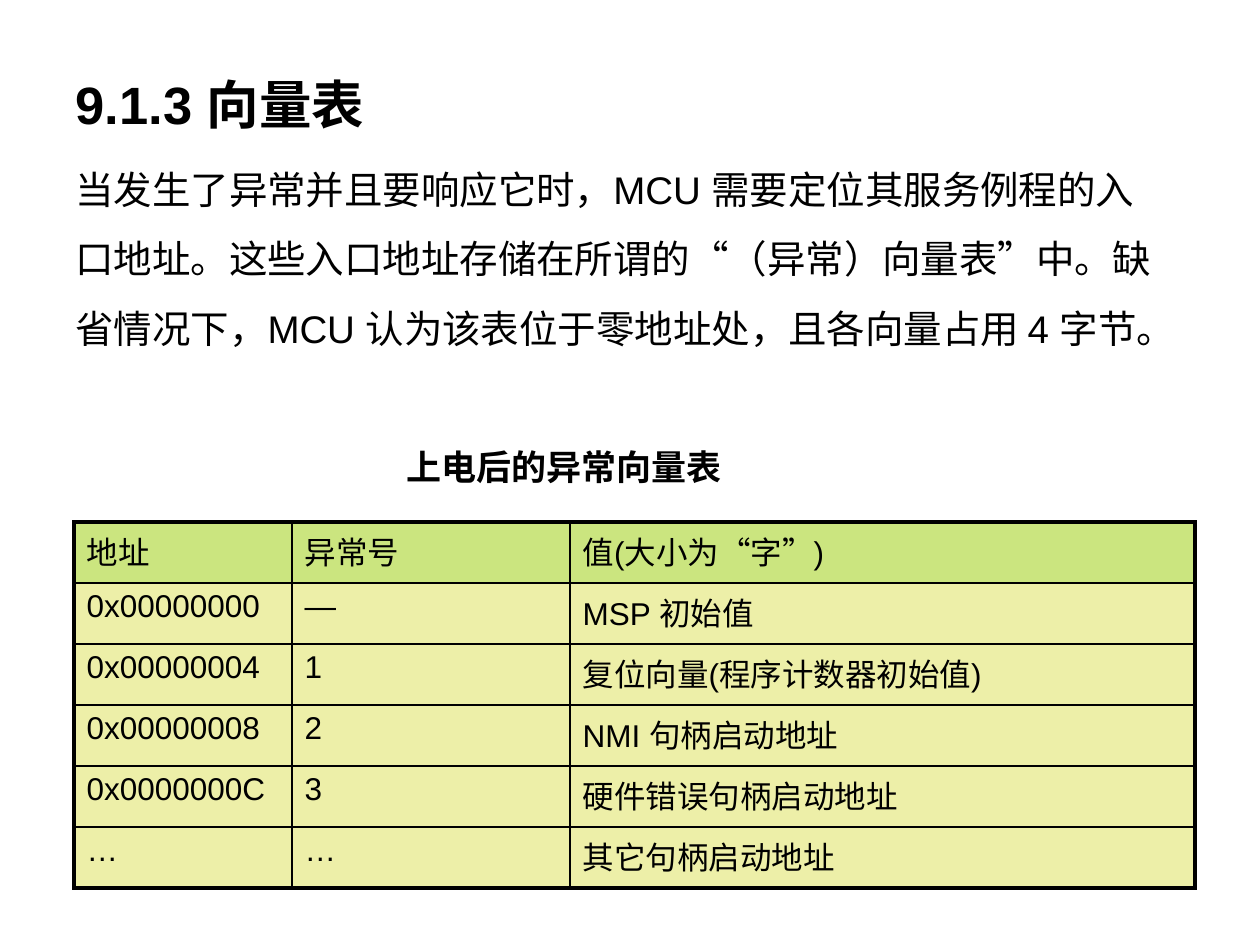
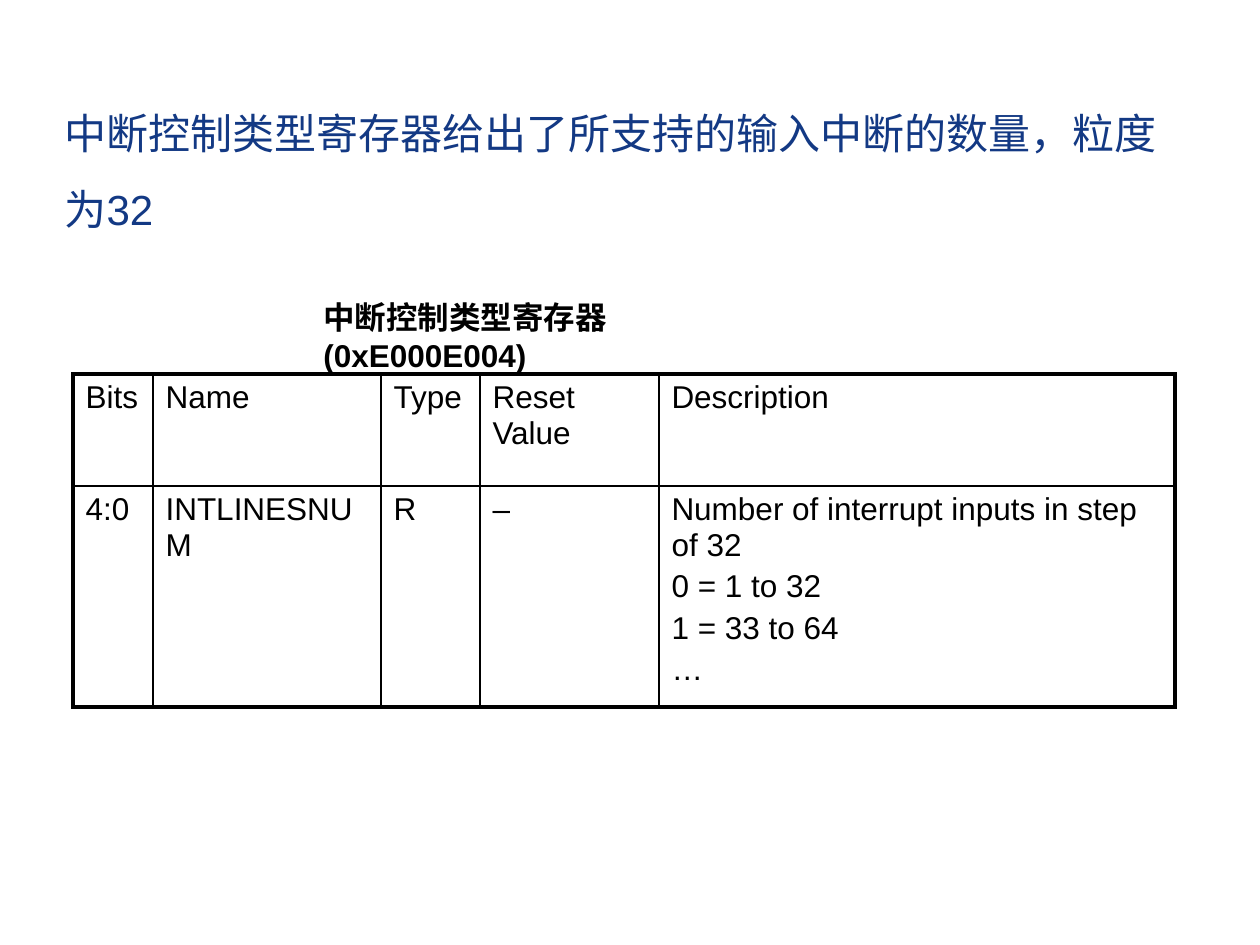
from dataclasses import dataclass

from lxml import etree
from pptx import Presentation
from pptx import util as u
from pptx.dml.color import RGBColor
from pptx.enum import text
from pptx.oxml import ns

EMU_PER_PX = 914400 / 126
TITLE_ONLY = 5


@dataclass(frozen=True)
class Theme:
    font: str = "Arial"
    ink: str = "000000"
    statement: str = "133984"
    header_fill: str = "99CC00"
    body_fill: str = "DDE052"
    fill_alpha: int = 50
    heading_size: int = 30
    statement_size: int = 24
    body_size: int = 22
    caption_size: int = 20
    table_size: int = 18
    cell_gap: float = 3.6
    outer_line: float = 2.25
    inner_line: float = 1


THEME = Theme()

VECTORS = [
    ["地址", "异常号", "值(大小为“字”)"],
    ["0x00000000", "—", "MSP 初始值"],
    ["0x00000004", "1", "复位向量(程序计数器初始值)"],
    ["0x00000008", "2", "NMI 句柄启动地址"],
    ["0x0000000C", "3", "硬件错误句柄启动地址"],
    ["…", "…", "其它句柄启动地址"],
]

REGISTER_FIELDS = [
    ["Bits", "Name", "Type", "Reset Value", "Description"],
    ["4:0", "INTLINESNUM", "R", "–",
     "Number of interrupt inputs in step of 32\n0 = 1 to 32\n1 = 33 to 64\n…"],
]


def px(length):
    return u.Emu(round(length * EMU_PER_PX))


def write(frame, wording, size, color=THEME.ink, bold=False, spacing=None, gap=0):
    frame.text = wording
    for index, paragraph in enumerate(frame.paragraphs):
        paragraph.alignment = text.PP_ALIGN.LEFT
        paragraph.space_before = u.Pt(gap if index else 0)
        if spacing:
            paragraph.line_spacing = spacing
        for run in paragraph.runs:
            run.font.name = THEME.font
            run.font.size = u.Pt(size)
            run.font.bold = bold
            run.font.color.rgb = RGBColor.from_string(color)


def place_title(slide, box, wording, size, **style):
    title = slide.shapes.title
    title.left, title.top, title.width, title.height = map(px, box)
    frame = title.text_frame
    frame.word_wrap = True
    frame.auto_size = text.MSO_AUTO_SIZE.NONE
    frame.vertical_anchor = text.MSO_ANCHOR.TOP
    write(frame, wording, size, **style)


def add_passage(slide, box, wording, size, **style):
    frame = slide.shapes.add_textbox(*map(px, box)).text_frame
    frame.word_wrap = True
    write(frame, wording, size, **style)


def add_border(cell, side, points):
    line = etree.SubElement(cell._tc.get_or_add_tcPr(), ns.qn(f"a:ln{side}"),
                            w=str(u.Pt(points)))
    fill = etree.SubElement(line, ns.qn("a:solidFill"))
    etree.SubElement(fill, ns.qn("a:srgbClr"), val=THEME.ink)


def fill_cell(cell, color):
    if color is None:
        cell.fill.background()
        return
    cell.fill.solid()
    cell.fill.fore_color.rgb = RGBColor.from_string(color)
    tint = cell._tc.tcPr.find(ns.qn("a:solidFill")).find(ns.qn("a:srgbClr"))
    etree.SubElement(tint, ns.qn("a:alpha"), val=str(THEME.fill_alpha * 1000))


def add_grid(slide, origin, widths, heights, rows, header_fill=None, body_fill=None):
    box = (*origin, sum(widths), sum(heights))
    grid = slide.shapes.add_table(len(rows), len(widths), *map(px, box)).table
    grid.first_row = grid.horz_banding = False
    for column, width in zip(grid.columns, widths):
        column.width = px(width)
    for row, height in zip(grid.rows, heights):
        row.height = px(height)
    for r, entries in enumerate(rows):
        for c, entry in enumerate(entries):
            cell = grid.cell(r, c)
            write(cell.text_frame, entry, THEME.table_size, gap=THEME.cell_gap)
            on_edge = {"L": c == 0, "R": c == len(widths) - 1,
                       "T": r == 0, "B": r == len(rows) - 1}
            for side, outer in on_edge.items():
                add_border(cell, side, THEME.outer_line if outer else THEME.inner_line)
            fill_cell(cell, body_fill if r else header_fill)


def build_vector_table(slide):
    place_title(slide, (63, 66, 1134, 72), "9.1.3 向量表", THEME.heading_size, bold=True)
    add_passage(
        slide, (63, 137, 1110, 290),
        "当发生了异常并且要响应它时，MCU 需要定位其服务例程的入口地址。"
        "这些入口地址存储在所谓的“（异常）向量表”中。"
        "缺省情况下，MCU 认为该表位于零地址处，且各向量占用 4 字节。",
        THEME.body_size, spacing=1.5)
    add_passage(slide, (394, 439, 348, 55), "上电后的异常向量表",
                THEME.caption_size, bold=True)
    add_grid(slide, (74, 522), (218, 278, 625), [61] * len(VECTORS), VECTORS,
             THEME.header_fill, THEME.body_fill)


def build_interrupt_register(slide):
    place_title(slide, (52, 76, 1131, 155),
                "中断控制类型寄存器给出了所支持的输入中断的数量，粒度为32",
                THEME.statement_size, color=THEME.statement, spacing=1.5)
    add_passage(slide, (311, 292, 460, 85), "中断控制类型寄存器(0xE000E004)",
                THEME.table_size, bold=True)
    add_grid(slide, (73, 374), (80, 228, 99, 179, 516), (112, 221), REGISTER_FIELDS)


def main():
    deck = Presentation()
    deck.slide_width, deck.slide_height = px(1260), px(945)
    for build in (build_vector_table, build_interrupt_register):
        build(deck.slides.add_slide(deck.slide_layouts[TITLE_ONLY]))
    deck.save("out.pptx")


if __name__ == "__main__":
    main()
